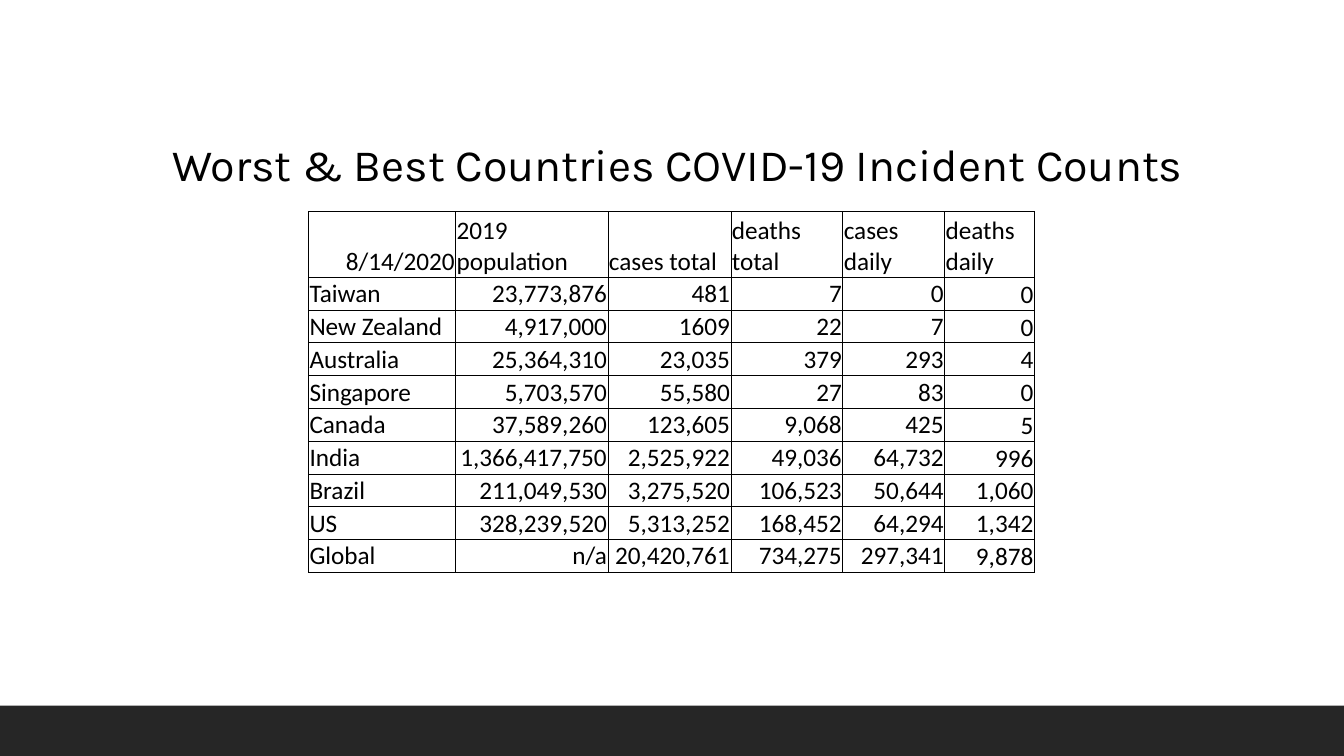
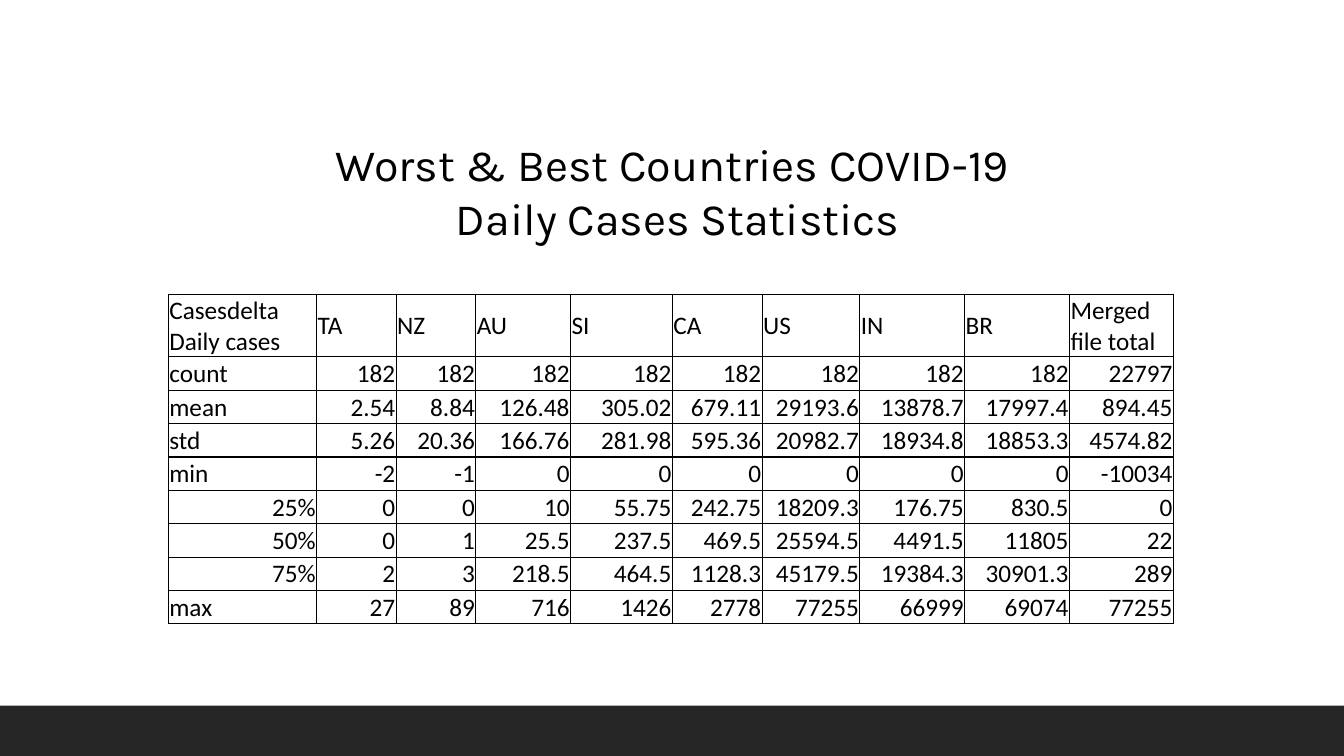
from lxml.etree import SubElement
from pptx import Presentation
from pptx.dml.color import RGBColor
from pptx.enum.shapes import MSO_SHAPE as SHAPE
from pptx.enum.text import MSO_ANCHOR as ANCHOR, MSO_AUTO_SIZE as AUTO, PP_ALIGN as ALIGN
from pptx.oxml.ns import qn
from pptx.util import Inches, Pt

BLACK, CHARCOAL = "000000", "262626"
TITLE_FONT, TABLE_FONT = "Karla", "Calibri"
WIDTH, HEIGHT, BAND = 13.33, 7.5, 0.5

COUNTS = [
    ["8/14/2020", "2019 population", "cases total", "deaths total", "cases daily", "deaths daily"],
    ["Taiwan", "23,773,876", "481", "7", "0", "0"],
    ["New Zealand", "4,917,000", "1609", "22", "7", "0"],
    ["Australia", "25,364,310", "23,035", "379", "293", "4"],
    ["Singapore", "5,703,570", "55,580", "27", "83", "0"],
    ["Canada", "37,589,260", "123,605", "9,068", "425", "5"],
    ["India", "1,366,417,750", "2,525,922", "49,036", "64,732", "996"],
    ["Brazil", "211,049,530", "3,275,520", "106,523", "50,644", "1,060"],
    ["US", "328,239,520", "5,313,252", "168,452", "64,294", "1,342"],
    ["Global", "n/a", "20,420,761", "734,275", "297,341", "9,878"],
]
STATISTICS = [
    ["Casesdelta\vDaily cases", "TA", "NZ", "AU", "SI", "CA", "US", "IN", "BR",
     "Merged \vfile total"],
    ["count"] + ["182"] * 8 + ["22797"],
    ["mean", "2.54", "8.84", "126.48", "305.02", "679.11", "29193.6", "13878.7", "17997.4",
     "894.45"],
    ["std", "5.26", "20.36", "166.76", "281.98", "595.36", "20982.7", "18934.8", "18853.3",
     "4574.82"],
    ["min", "-2", "-1"] + ["0"] * 6 + ["-10034"],
    ["25%", "0", "0", "10", "55.75", "242.75", "18209.3", "176.75", "830.5", "0"],
    ["50%", "0", "1", "25.5", "237.5", "469.5", "25594.5", "4491.5", "11805", "22"],
    ["75%", "2", "3", "218.5", "464.5", "1128.3", "45179.5", "19384.3", "30901.3", "289"],
    ["max", "27", "89", "716", "1426", "2778", "77255", "66999", "69074", "77255"],
]


def rgb(value):
    """Turn a hex string into a colour."""
    return RGBColor.from_string(value)


def style_font(p, name, size):
    """Set the font of a whole paragraph."""
    p.font.name, p.font.size, p.font.bold = name, Pt(size), False
    p.font.color.rgb = rgb(BLACK)


def add_master_band(prs, s):
    """Draw the footer band and hand it to the slide master."""
    sp = s.shapes.add_shape(SHAPE.RECTANGLE, 0, Inches(HEIGHT - BAND),
                            prs.slide_width, Inches(BAND))
    sp.shadow.inherit = False
    sp.fill.solid()
    sp.fill.fore_color.rgb = rgb(CHARCOAL)
    sp.line.fill.background()
    prs.slide_master.shapes._spTree.append(sp._element)


def set_title(s, lines, box):
    """Place and format the title, one paragraph per line."""
    sp = s.shapes.title
    sp.left, sp.top, sp.width, sp.height = map(Inches, box)
    tf = sp.text_frame
    tf.word_wrap, tf.auto_size = True, AUTO.NONE
    tf.vertical_anchor = ANCHOR.TOP
    tf.margin_top = Inches(0.07)
    tf.text = "\n".join(lines)
    for p in tf.paragraphs:
        p.alignment, p.line_spacing = ALIGN.CENTER, Pt(38.6)
        p._p.get_or_add_pPr().set("marL", str(Inches(0.11)))
        style_font(p, TITLE_FONT, 32)


def add_borders(cell, width):
    """Rule all four sides of a cell."""
    tcPr = cell._tc.get_or_add_tcPr()
    for side in ("lnL", "lnR", "lnT", "lnB"):
        ln = SubElement(tcPr, qn(f"a:{side}"), w=str(Pt(width)))
        SubElement(SubElement(ln, qn("a:solidFill")), qn("a:srgbClr"), val=BLACK)


def fill_cell(cell, text, right, anchor, border):
    """Write one plain ruled cell."""
    add_borders(cell, border)
    cell.fill.background()
    cell.margin_left = cell.margin_right = cell.margin_top = Inches(0.01)
    cell.margin_bottom = 0
    cell.vertical_anchor = anchor
    p = cell.text_frame.paragraphs[0]
    p.text = text
    p.alignment = ALIGN.RIGHT if right else ALIGN.LEFT
    style_font(p, TABLE_FONT, 18)


def add_data_table(s, rows, box, widths, header, border, low_edges):
    """Add a table in the box, low_edges anchoring the header and last column at the bottom."""
    table = s.shapes.add_table(len(rows), len(widths), *map(Inches, box)).table
    table.first_row = table.horz_banding = False
    for column, width in zip(table.columns, widths):
        column.width = Inches(width)
    body = (box[3] - header) / (len(rows) - 1)
    for i, row in enumerate(rows):
        table.rows[i].height = Inches(body if i else header)
        for j, text in enumerate(row):
            right = i > 0 if j else text[0].isdigit()
            low = low_edges and (i == 0 or j == len(row) - 1)
            fill_cell(table.cell(i, j), text, right, ANCHOR.BOTTOM if low else ANCHOR.MIDDLE,
                      border)


def add_table_slide(prs, title, title_height, **table):
    """Add a slide with a centred title above a table."""
    s = prs.slides.add_slide(prs.slide_layouts[5])
    set_title(s, title, (1.29, 1.28, 10.76, title_height))
    add_data_table(s, **table)
    return s


def main():
    """Build the deck."""
    prs = Presentation()
    prs.slide_width, prs.slide_height = Inches(WIDTH), Inches(HEIGHT)
    s = add_table_slide(
        prs, ["Worst & Best Countries COVID-19 Incident Counts"], 1.65,
        rows=COUNTS, box=(3.06, 2.1, 7.21, 3.58), header=0.65, border=0.5, low_edges=True,
        widths=[1.46, 1.51, 1.22, 1.11, 1.01, 0.89])
    add_master_band(prs, s)
    add_table_slide(
        prs, ["Worst & Best Countries COVID-19 ", "Daily Cases Statistics"], 2.19,
        rows=STATISTICS, box=(1.67, 2.92, 9.99, 3.27), header=0.62, border=1, low_edges=False,
        widths=[1.47, 0.79, 0.79, 0.94, 1.01, 0.89, 0.97, 1.04, 1.04, 1.03])
    prs.save("out.pptx")


if __name__ == "__main__":
    main()
